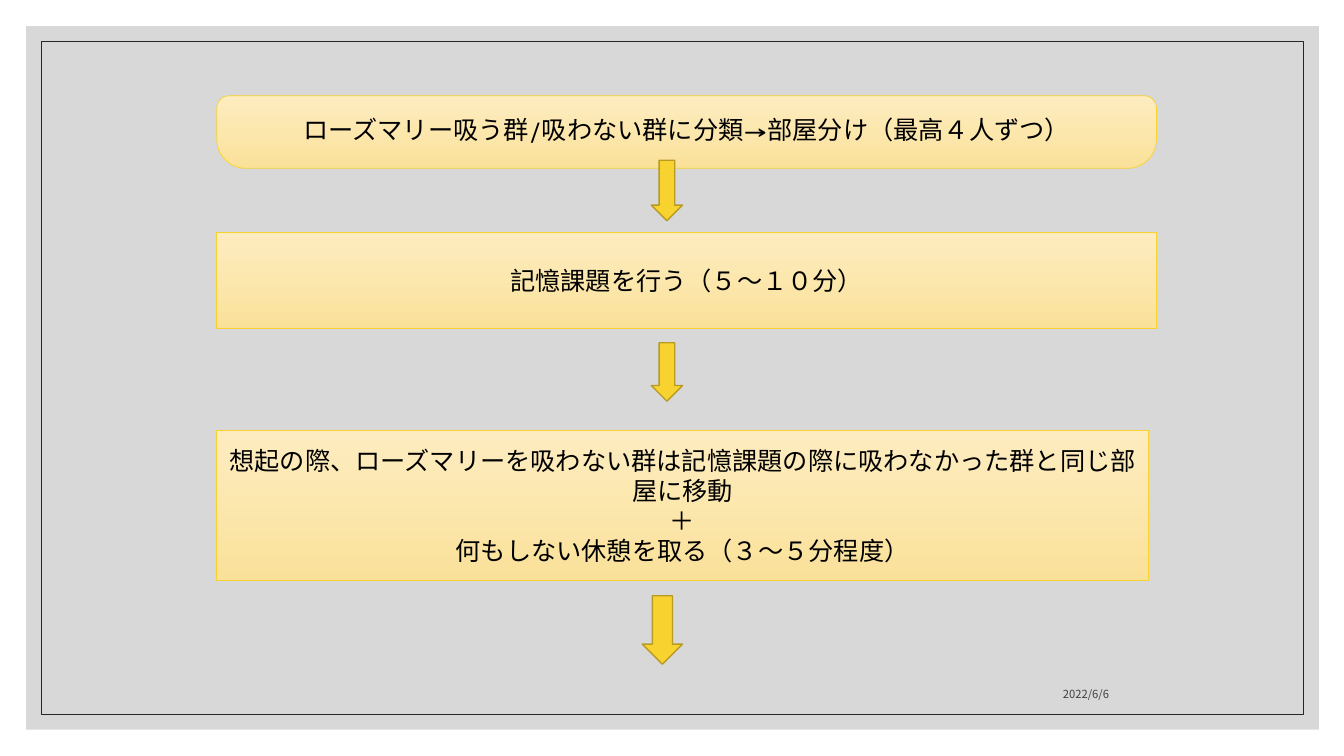
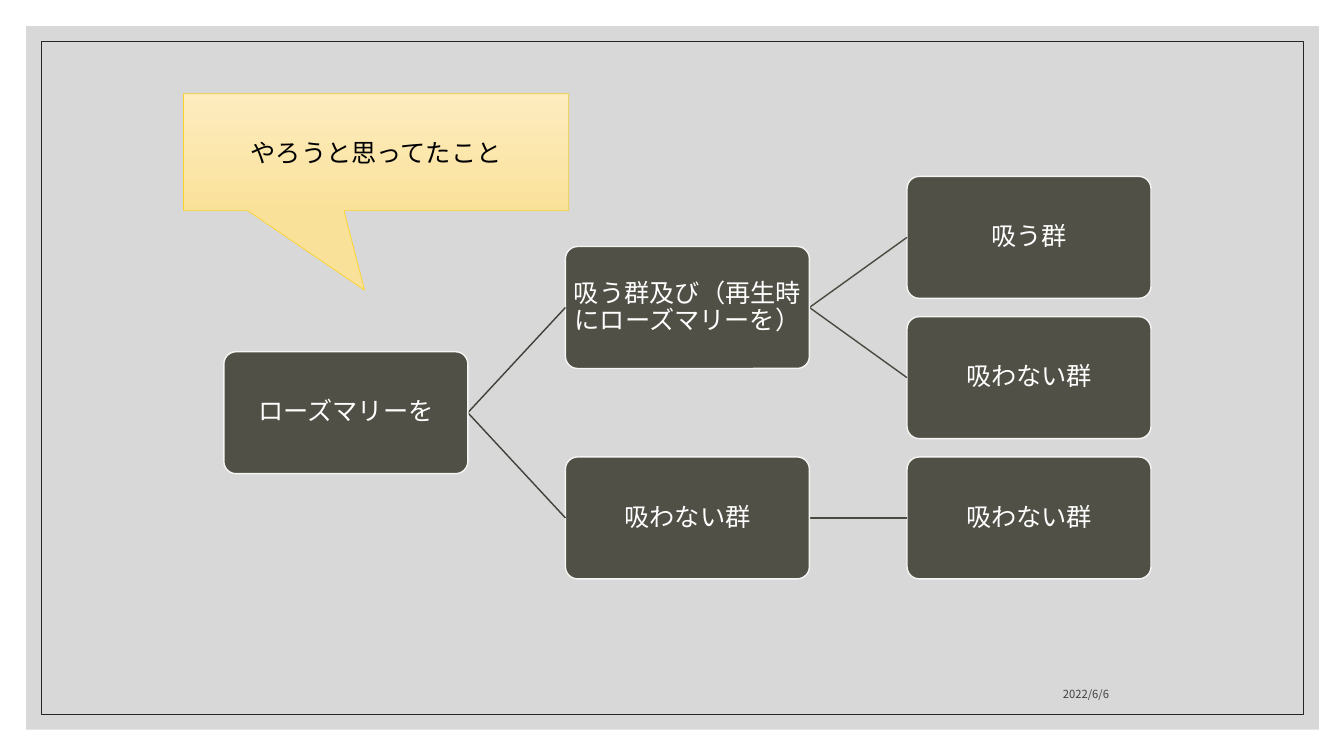
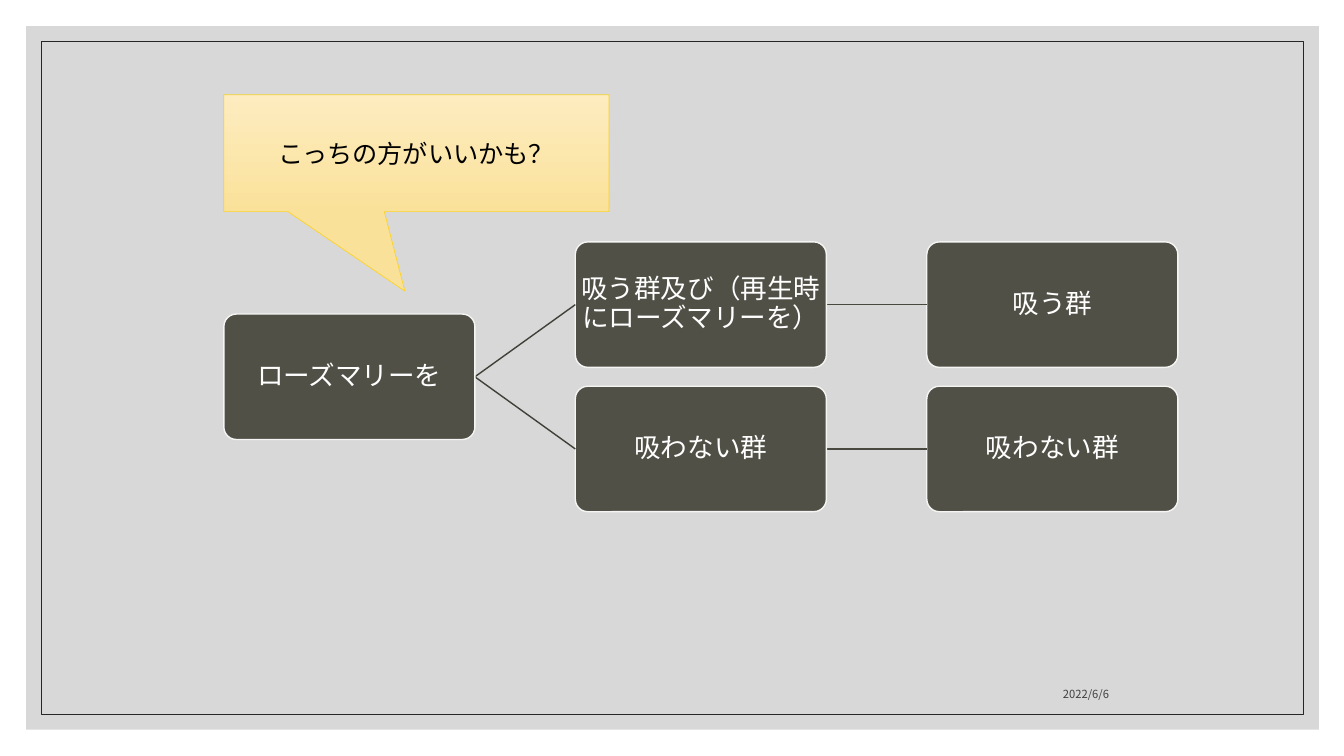
from lxml import etree
from pptx import Presentation
from pptx.dml.color import RGBColor
from pptx.enum.shapes import MSO_CONNECTOR, MSO_SHAPE
from pptx.enum.text import MSO_ANCHOR, PP_ALIGN
from pptx.oxml.ns import qn
from pptx.util import Inches, Pt

RECT = MSO_SHAPE.RECTANGLE
ROUND = MSO_SHAPE.ROUNDED_RECTANGLE
ROUND_TOP = MSO_SHAPE.ROUND_2_SAME_RECTANGLE
DOWN_ARROW = MSO_SHAPE.DOWN_ARROW
CALLOUT = MSO_SHAPE.RECTANGULAR_CALLOUT
STRAIGHT = MSO_CONNECTOR.STRAIGHT
CENTER, RIGHT = PP_ALIGN.CENTER, PP_ALIGN.RIGHT
MIDDLE, BOTTOM = MSO_ANCHOR.MIDDLE, MSO_ANCHOR.BOTTOM

W, H = 13.33, 7.5
FONT, DATE_FONT = "TeX Gyre Adventor", "Noto Sans CJK JP"
C = {
    "panel": "BFBFBF", "frame": "262626", "date": "404040",
    "cream": "FDECC0", "sand": "FAE19A", "gold": "F8D22F", "bronze": "B79B23",
    "node": "505046", "node_edge": "F5F6F4", "link1": "404038", "link2": "494940",
    "black": "000000", "white": "FFFFFF",
}


def rgb(name):
    return RGBColor.from_string(C[name])


# Shared drawing helpers
def add_box(slide, kind, box, fill=None, line=None, width=1, adj=()):
    """Preset shape; a pair of colours as fill gives a vertical gradient."""
    sp = slide.shapes.add_shape(kind, *(Inches(v) for v in box))
    sp.shadow.inherit = False
    for i, value in enumerate(adj):
        sp.adjustments[i] = value
    if fill is None:
        sp.fill.background()
    elif isinstance(fill, tuple):
        sp.fill.gradient()
        sp.fill.gradient_angle = 270
        for stop, name in zip(sp.fill.gradient_stops, fill):
            stop.color.rgb = rgb(name)
    else:
        sp.fill.solid()
        sp.fill.fore_color.rgb = rgb(fill)
    if line:
        sp.line.color.rgb = rgb(line)
        sp.line.width = Pt(width)
    else:
        sp.line.fill.background()
    return sp


def write(sp, lines, size, color, font=FONT, align=CENTER, anchor=MIDDLE, spacing=None):
    tf = sp.text_frame
    tf.word_wrap = True
    tf.vertical_anchor = anchor
    for i, text in enumerate(lines):
        p = tf.add_paragraph() if i else tf.paragraphs[0]
        p.alignment = align
        if spacing:
            p.line_spacing = spacing
        r = p.add_run()
        r.text = text
        r.font.size = Pt(size)
        r.font.name = font
        r.font.color.rgb = rgb(color)
        etree.SubElement(r.font._element, qn("a:ea")).set("typeface", font)


def add_link(slide, x1, y1, x2, y2, color):
    cn = slide.shapes.add_connector(STRAIGHT, *(Inches(v) for v in (x1, y1, x2, y2)))
    cn.line.color.rgb = rgb(color)
    cn.line.width = Pt(1)
    etree.SubElement(cn.element.spPr, qn("a:effectLst"))


def cream_box(slide, kind, box, lines, adj=()):
    sp = add_box(slide, kind, box, ("cream", "sand"), "gold", 0.5, adj)
    write(sp, lines, 18, "black")


# Panel and frame, kept on the layout
def dress_layout(layout, slide):
    panel = add_box(slide, RECT, (0.26, 0.26, W - 0.51, H - 0.52), "panel")
    color = panel.element.spPr.find(qn("a:solidFill"))[0]
    etree.SubElement(color, qn("a:alpha")).set("val", "60000")
    frame = add_box(slide, RECT, (0.41, 0.41, W - 0.81, H - 0.82), None, "frame", 0.5)
    for i, sp in enumerate((panel, frame)):
        layout.shapes.element.insert(2 + i, sp.element)


def add_date(slide):
    sp = slide.shapes.add_textbox(*(Inches(v) for v in (7.94, 6.6, 3.16, 0.4)))
    write(sp, ["2022/6/6"], 8, "date", DATE_FONT, RIGHT, BOTTOM)


# Procedure: steps with an arrow under each, placed from the region's corner
def flow(slide, x, y, w, steps):
    for kind, top, height, trim, adj, lines, arrow in steps:
        cream_box(slide, kind, (x, y + top, w - trim, height), lines, adj)
        dx, dy, aw, ah = arrow
        add_box(slide, DOWN_ARROW, (x + dx, y + dy, aw, ah), "gold", "bronze")


# Horizontal tree: leaves fill the rows, parents sit midway between children
def tree(slide, x, y, w, size, root):
    h, col, row = w / 2, 1.4 * w, 0.575 * w

    def place(node, depth, first):
        text, children = node
        left, spots, leaf = x + depth * col, [], first
        for child in children:
            mid, leaf = place(child, depth + 1, leaf)
            spots.append(mid)
        if spots:
            mid = (spots[0] + spots[-1]) / 2
        else:
            mid, leaf = y + first * row + h / 2, first + 1
        for spot in spots:
            add_link(slide, left + w, mid, left + col, spot, "link2" if depth else "link1")
        sp = add_box(slide, ROUND, (left, mid - h / 2, w, h), "node", "node_edge", 1, (0.1,))
        tf = sp.text_frame
        tf.margin_left = tf.margin_right = tf.margin_top = tf.margin_bottom = Inches(0.01)
        write(sp, [text], size, "white", spacing=0.9)
        return mid, leaf

    place(root, 0, 0)


def callout(slide, x, y, text):
    cream_box(slide, CALLOUT, (x, y, 3.82, 1.16), [text], (-0.03, 1.18))


INHALE, NO_INHALE = ("吸う群", []), ("吸わない群", [])
MIXED, ROOT = "吸う群及び（再生時にローズマリーを）", "ローズマリーを"
CONTROL = ("吸わない群", [NO_INHALE])

# kind, top, height, right trim, adjustments, lines, arrow box
STEPS = [
    (ROUND_TOP, 0, 0.72, 0, (0.17, 0.4),
     ["ローズマリー吸う群/吸わない群に分類→部屋分け（最高４人ずつ）"],
     (4.31, 0.64, 0.31, 0.6)),
    (RECT, 1.36, 0.95, 0, (), ["記憶課題を行う（５～１０分）"],
     (4.31, 2.45, 0.31, 0.58)),
    (RECT, 3.32, 1.49, 0.08, (),
     ["想起の際、ローズマリーを吸わない群は記憶課題の際に吸わなかった群と同じ部屋に移動",
      "＋", "何もしない休憩を取る（３～５分程度）"],
     (4.22, 4.96, 0.4, 0.68)),
]


def main():
    prs = Presentation()
    prs.slide_width, prs.slide_height = Inches(W), Inches(H)
    layout = prs.slide_layouts[6]
    slides = [prs.slides.add_slide(layout) for _ in range(3)]
    dress_layout(layout, slides[0])
    for slide in slides:
        add_date(slide)
    procedure, planned, better = slides

    flow(procedure, 2.15, 0.95, 9.32, STEPS)

    tree(planned, 2.22, 1.75, 2.42, 18, (ROOT, [(MIXED, [INHALE, NO_INHALE]), CONTROL]))
    callout(planned, 1.82, 0.93, "やろうと思ってたこと")

    tree(better, 2.22, 2.4, 2.49, 19, (ROOT, [(MIXED, [INHALE]), CONTROL]))
    callout(better, 2.22, 0.94, "こっちの方がいいかも？")

    prs.save("out.pptx")


if __name__ == "__main__":
    main()
